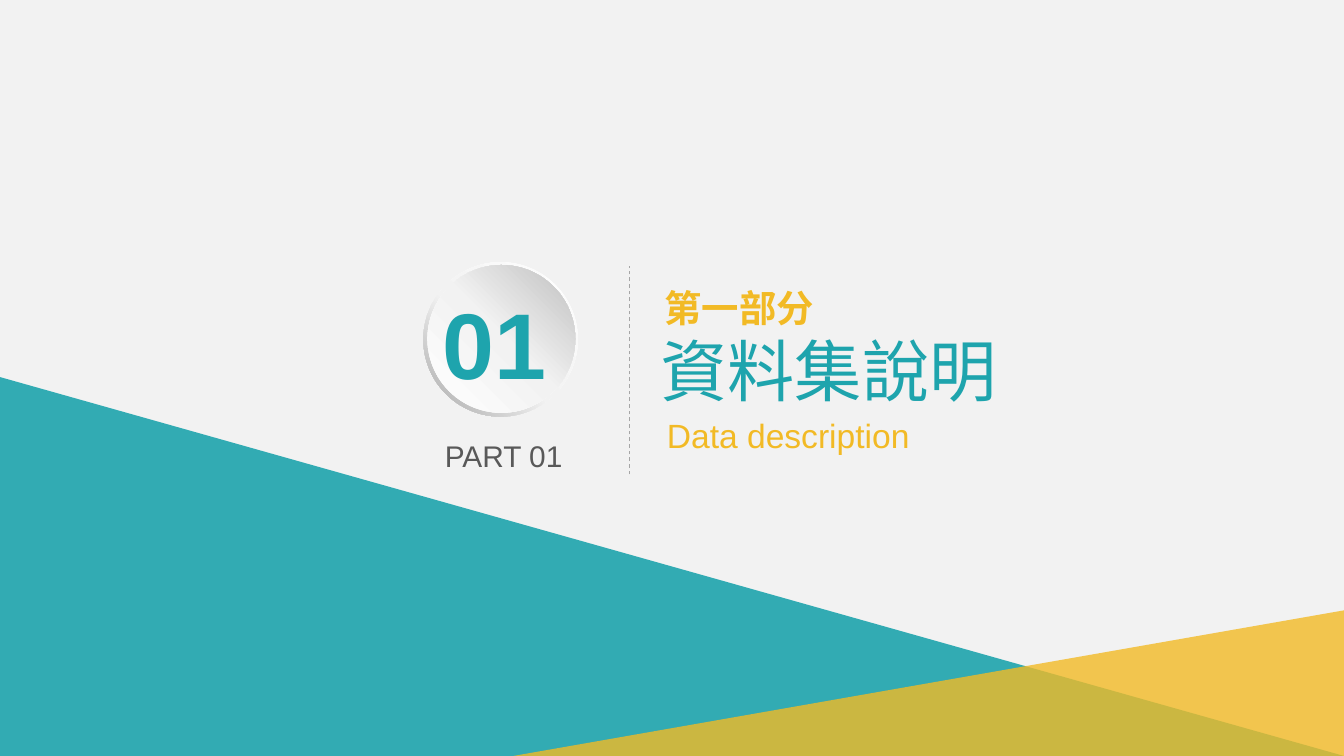
import copy

import pptx
import pptx.dml.color
import pptx.enum.dml
import pptx.enum.shapes
import pptx.enum.text
import pptx.oxml
import pptx.oxml.ns
import pptx.util

Pt = pptx.util.Pt
RGBColor = pptx.dml.color.RGBColor
ALIGN = pptx.enum.text.PP_ALIGN
SHAPE = pptx.enum.shapes.MSO_SHAPE
qn = pptx.oxml.ns.qn
NAMESPACE = pptx.oxml.ns.nsdecls("a")

TEAL = RGBColor(0x1E, 0xA4, 0xAD)
YELLOW = RGBColor(0xF2, 0xBA, 0x25)
WHITE = RGBColor(0xFF, 0xFF, 0xFF)
PALE_GREY = RGBColor(0xF2, 0xF2, 0xF2)
LIGHT_GREY = RGBColor(0xBF, 0xBF, 0xBF)
MID_GREY = RGBColor(0xA6, 0xA6, 0xA6)
DARK_GREY = RGBColor(0x59, 0x59, 0x59)
LATIN_FONT = "Arial"
CJK_FONT = "Noto Sans CJK SC"
WIDTH, HEIGHT = 720, 405


def add_run(paragraph, text, size, color, bold=False, font=LATIN_FONT):
    run = paragraph.add_run()
    run.text = text
    run.font.size = Pt(size)
    run.font.bold = bold
    run.font.name = font
    run.font.color.rgb = color
    east_asian = pptx.oxml.parse_xml(f'<a:ea {NAMESPACE} typeface="{CJK_FONT}"/>')
    run.font._element.find(qn("a:latin")).addnext(east_asian)


def format_frame(shape, left, top, width, height, margins, wrap):
    """Place a text shape, and let it grow with its text."""
    shape.left, shape.top = Pt(left), Pt(top)
    shape.width, shape.height = Pt(width), Pt(height)
    frame = shape.text_frame
    frame.margin_left = frame.margin_right = Pt(margins[0])
    frame.margin_top = frame.margin_bottom = Pt(margins[1])
    frame.word_wrap = wrap
    frame.auto_size = pptx.enum.text.MSO_AUTO_SIZE.SHAPE_TO_FIT_TEXT
    frame.vertical_anchor = pptx.enum.text.MSO_ANCHOR.TOP
    return frame


presentation = pptx.Presentation()
presentation.slide_width, presentation.slide_height = Pt(WIDTH), Pt(HEIGHT)
slide = presentation.slides.add_slide(presentation.slide_layouts[5])
slide.background.fill.solid()
slide.background.fill.fore_color.rgb = PALE_GREY

# Translucent triangles along the bottom
triangles = [
    ([(0, HEIGHT / 2), (WIDTH, HEIGHT), (0, HEIGHT)], TEAL, 90),
    ([(WIDTH, 327), (275, HEIGHT), (WIDTH, HEIGHT)], YELLOW, 80),
]
for points, color, opacity in triangles:
    builder = slide.shapes.build_freeform(*points[0], scale=Pt(1))
    builder.add_line_segments(points[1:], close=True)
    triangle = builder.convert_to_shape()
    triangle.shadow.inherit = False
    triangle.line.fill.background()
    triangle.fill.solid()
    triangle.fill.fore_color.rgb = color
    alpha = pptx.oxml.parse_xml(f'<a:alpha {NAMESPACE} val="{opacity * 1000}"/>')
    triangle._element.spPr.find(qn("a:solidFill"))[0].append(alpha)

# Section title
frame = format_frame(slide.shapes.title, 347.8, 149.8, 192, 72.7, (5, 2.7), False)
section = frame.paragraphs[0]
section.alignment = ALIGN.LEFT
add_run(section, " ", 14, YELLOW, True, CJK_FONT)
add_run(section, "第一部分", 20, YELLOW, True, CJK_FONT)
heading = frame.add_paragraph()
heading.alignment = ALIGN.CENTER
add_run(heading, "資料集說明", 36, TEAL)

# Dashed divider
divider = slide.shapes.add_connector(
    pptx.enum.shapes.MSO_CONNECTOR.STRAIGHT, Pt(337), Pt(254.2), Pt(337), Pt(142.5))
divider.line.color.rgb = MID_GREY
divider.line.width = Pt(0.5)
divider.line.dash_style = pptx.enum.dml.MSO_LINE.DASH
divider._element.spPr.append(pptx.oxml.parse_xml(f"<a:effectLst {NAMESPACE}/>"))

# Number badge: a rim and a disc shaded in opposite directions
badge = slide.shapes.add_group_shape()
badge_parts = [
    (SHAPE.DONUT, 226.8, 140.4, 82.8, 225, [(0, WHITE), (0.55, PALE_GREY), (1, MID_GREY)]),
    (SHAPE.OVAL, 229, 142, 79.2, 45, [(0, WHITE), (0.51, PALE_GREY), (1, LIGHT_GREY)]),
]
for kind, left, top, size, angle, stops in badge_parts:
    part = badge.shapes.add_shape(kind, Pt(left), Pt(top), Pt(size), Pt(size))
    part.shadow.inherit = False
    part.line.fill.background()
    if kind == SHAPE.DONUT:
        part.adjustments[0] = 0.05
    part.fill.gradient()
    part.fill.gradient_angle = angle
    stop_list = part._element.spPr.find(qn("a:gradFill")).find(qn("a:gsLst"))
    stop_list.append(copy.deepcopy(stop_list[0]))
    for stop, (position, color) in zip(part.fill.gradient_stops, stops):
        stop.position = position
        stop.color.rgb = color

# Badge number, its caption and the subtitle
labels = [
    ("01", 236.9, 153.4, 71.3, 60.5, (0, 0), True, ALIGN.LEFT, 50, TEAL, True),
    ("PART 01", 238.3, 234.7, 71.3, 19.4, (0, 0), True, ALIGN.LEFT, 16, DARK_GREY, False),
    ("Data description", 349.2, 218.9, 146.2, 28.8, (7.2, 3.6), False, ALIGN.CENTER,
     18, YELLOW, False),
]
for text, left, top, width, height, margins, wrap, alignment, size, color, bold in labels:
    label = slide.shapes.add_textbox(0, 0, 0, 0)
    frame = format_frame(label, left, top, width, height, margins, wrap)
    frame.paragraphs[0].alignment = alignment
    add_run(frame.paragraphs[0], text, size, color, bold)

presentation.save("out.pptx")
